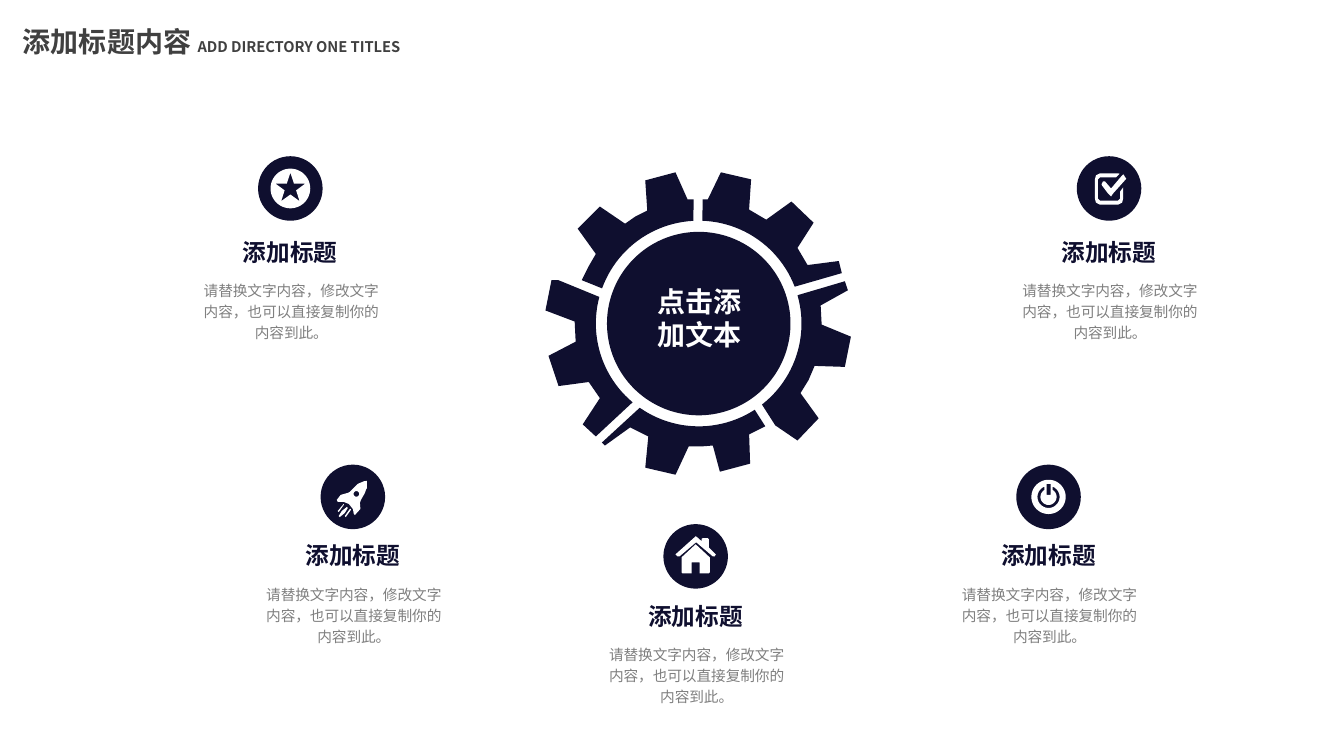
from math import cos, radians, sin

from lxml import etree
from pptx import Presentation
from pptx.dml.color import RGBColor
from pptx.enum.shapes import MSO_SHAPE
from pptx.enum.text import MSO_ANCHOR, PP_ALIGN
from pptx.oxml.ns import qn
from pptx.util import Emu, Inches, Pt

OVAL = MSO_SHAPE.OVAL
TOP, BOTTOM = MSO_ANCHOR.TOP, MSO_ANCHOR.BOTTOM
CENTER = PP_ALIGN.CENTER
COLORS = {"navy": "0F0F2F", "white": "FFFFFF", "title": "404040", "body": "808080"}
CJK_FONT, HEADING_FONT = "Noto Sans CJK SC", "Calibri"
UNIT = 914400


def arc(radius, start, end, center=(0, 0), steps=24):
    """Points along a circle, angles in degrees clockwise from the right."""
    angles = [radians(start + (end - start) * i / steps) for i in range(steps + 1)]
    return [(center[0] + radius * cos(a), center[1] + radius * sin(a)) for a in angles]


# Content
TITLE, SUBTITLE = "添加标题内容 ", "ADD DIRECTORY ONE TITLES"
HUB_LINES = ["点击添", "加文本"]
HEADING = "添加标题"
BODY = "请替换文字内容，修改文字内容，也可以直接复制你的内容到此。"

# Icon contours in hundredths of an inch from the badge centre
STAR = [
    arc(19.7, 0, 360, steps=48),
    [arc(15.5 if i % 2 == 0 else 6, a, a, steps=1)[0]
     for i, a in enumerate(range(-90, 270, 36))],
]
CHECK = [
    [(11, 3), (14, -1), (14, 10), (13, 14), (9, 16), (-9, 16), (-13, 14), (-14, 10),
     (-14, -9), (-13, -13), (-9, -15), (9, -15), (10.5, -14.6), (7, -11), (-9, -11),
     (-11, -9), (-11, 10), (-9, 12), (9, 12), (11, 10)],
    [(16, -11), (17, -10), (16.5, -9), (4, 5), (2, 8), (1, 7), (-1, 5), (-7, -3),
     (-7.5, -4), (-7, -5), (-6, -7), (-4, -7), (2, 0), (13, -13), (14, -14), (15, -13)],
]
ROCKET = [
    [(-2, 12), (-2, 13), (-7, 20), (-8, 19), (-3, 12)],
    [(-6, 10), (-5, 11), (-8, 16), (-13, 20), (-14, 19), (-11, 14)],
    [(-9, 7), (-9, 8), (-14, 15), (-15, 14), (-10, 8)],
    arc(2.8, 0, 360, center=(3.5, -3)),
    [(14, -16), (14, -9), (13, -7), (12, -4), (8, 3), (7, 6), (7.5, 12), (2, 18),
     (1, 17), (0, 12), (-4, 7), (-9, 5), (-15, 5), (-16, 3), (-12, -2), (-5, -4),
     (-3, -5), (5, -13), (11, -15.5)],
]
HOUSE = [
    [(20, -2), (19, 0), (17, 0), (0.5, -14), (-16, 0), (-18, 0), (-20, -2), (-1, -19),
     (0, -20), (1.5, -19), (6, -15), (6, -17.5), (7, -18), (12, -18), (13, -17), (13, -9)],
    [(14, 1), (14, 16), (13, 17), (4, 17), (4, 6), (-4, 6), (-4, 17), (-13, 17),
     (-14, 16), (-14, 1), (0, -12)],
]
POWER = [
    arc(17, 0, 360, steps=48),
    [(-2, -13), (2, -13), (2, -2), (-2, -2)],
    arc(11, -68, 248) + arc(8, 240, -60),
]

# Badge centre, distance from it down to heading and to body, icon
ITEMS = [
    ((2.88, 1.87), 0.43, 0.84, STAR),
    ((3.5, 4.93), 0.38, 0.8, ROCKET),
    ((6.9, 5.52), 0.39, 0.8, HOUSE),
    ((11.0, 1.87), 0.43, 0.84, CHECK),
    ((10.4, 4.93), 0.38, 0.8, POWER),
]

# Gear: inner arc from start to end angle, then the toothed edge back to the start
HUB, HUB_RADIUS, RING_RADIUS = (6.93, 3.21), 0.91, 1.02
GEAR_SEGMENTS = [
    (130, 195, [(5.54, 2.78), (5.47, 2.78), (5.41, 3.08), (5.7, 3.19), (5.71, 3.39),
                (5.44, 3.53), (5.54, 3.83), (5.84, 3.79), (5.95, 3.95), (5.78, 4.21),
                (5.91, 4.33)]),
    (200, 267, [(6.88, 1.98), (6.82, 1.98), (6.7, 1.71), (6.4, 1.79), (6.42, 2.09),
                (6.3, 2.15), (6.2, 2.22), (5.95, 2.05), (5.73, 2.27), (5.91, 2.52),
                (5.84, 2.64), (5.77, 2.78)]),
    (272, 339, [(8.35, 2.71), (8.32, 2.59), (8.01, 2.63), (7.91, 2.46), (8.07, 2.21),
                (7.85, 2.0), (7.6, 2.18), (7.43, 2.08), (7.45, 1.78), (7.15, 1.71),
                (7.02, 1.98), (6.97, 1.98)]),
    (344, 412, [(7.69, 4.22), (7.91, 4.37), (8.12, 4.15), (7.94, 3.9), (8.02, 3.77),
                (8.08, 3.63), (8.38, 3.64), (8.44, 3.34), (8.15, 3.22), (8.14, 3.03),
                (8.41, 2.88), (8.38, 2.79)]),
    (57, 125, [(5.97, 4.39), (6.0, 4.42), (6.25, 4.24), (6.43, 4.33), (6.4, 4.64),
               (6.7, 4.71), (6.83, 4.43), (6.95, 4.43), (7.07, 4.42), (7.14, 4.68),
               (7.44, 4.6), (7.43, 4.31), (7.59, 4.23)]),
]


def paint(shape, color):
    shape.shadow.inherit = False
    shape.fill.solid()
    shape.fill.fore_color.rgb = RGBColor.from_string(COLORS[color])
    shape.line.fill.background()


def add_disc(slide, center, radius):
    x, y = center
    shape = slide.shapes.add_shape(OVAL, Inches(x - radius), Inches(y - radius),
                                   Inches(2 * radius), Inches(2 * radius))
    paint(shape, "navy")


def add_outline(slide, contours, color, origin=(0, 0), scale=1):
    """Draw closed contours as one shape; a contour inside another is a hole."""
    builder = None
    for contour in contours:
        points = [(round((origin[0] + x * scale) * UNIT),
                   round((origin[1] + y * scale) * UNIT)) for x, y in contour]
        if builder is None:
            builder = slide.shapes.build_freeform(*points[0], scale=1.0)
        else:
            builder.move_to(*points[0])
        builder.add_line_segments(points[1:], close=True)
    paint(builder.convert_to_shape(Emu(0), Emu(0)), color)


def add_text(slide, box, paragraphs, color, bold=False, font=CJK_FONT,
             insets=(0, 0), wrap=True, anchor=TOP, spacing=1.0):
    """Each paragraph is a list of (text, size) runs."""
    frame = slide.shapes.add_textbox(*map(Inches, box)).text_frame
    frame.word_wrap = wrap
    frame.vertical_anchor = anchor
    frame.margin_left = frame.margin_right = Inches(insets[0])
    frame.margin_top = frame.margin_bottom = Inches(insets[1])
    for index, runs in enumerate(paragraphs):
        paragraph = frame.add_paragraph() if index else frame.paragraphs[0]
        paragraph.alignment = CENTER
        paragraph.line_spacing = spacing
        for text, size in runs:
            run = paragraph.add_run()
            run.text = text
            run.font.size = Pt(size)
            run.font.bold = bold
            run.font.color.rgb = RGBColor.from_string(COLORS[color])
            run.font.name = font
            east_asian = etree.SubElement(run.font._element, qn("a:ea"))
            east_asian.set("typeface", CJK_FONT)


def main():
    presentation = Presentation()
    presentation.slide_width, presentation.slide_height = Inches(13.33), Inches(7.5)
    slide = presentation.slides.add_slide(presentation.slide_layouts[6])

    add_text(slide, (0, 0.24, 4.2, 0.44), [[(TITLE, 20), (SUBTITLE, 10.5)]],
             "title", bold=True)

    for start, end, teeth in GEAR_SEGMENTS:
        add_outline(slide, [arc(RING_RADIUS, start, end, center=HUB) + teeth], "navy")
    add_disc(slide, HUB, HUB_RADIUS)
    add_text(slide, (6.36, 2.82, 1.15, 0.89), [[(line, 20)] for line in HUB_LINES],
             "white", bold=True)

    for (x, y), heading_drop, body_drop, icon in ITEMS:
        add_disc(slide, (x, y), 0.32)
        add_outline(slide, icon, "white", origin=(x, y), scale=0.01)
        add_text(slide, (x - 0.58, y + heading_drop, 1.16, 0.39), [[(HEADING, 16.9)]],
                 "navy", bold=True, font=HEADING_FONT, insets=(0.11, 0.05), wrap=False,
                 anchor=BOTTOM)
        add_text(slide, (x - 0.98, y + body_drop, 1.98, 0.87), [[(BODY, 10.5)]],
                 "body", insets=(0.11, 0.05), spacing=1.2)

    presentation.save("out.pptx")


if __name__ == "__main__":
    main()
